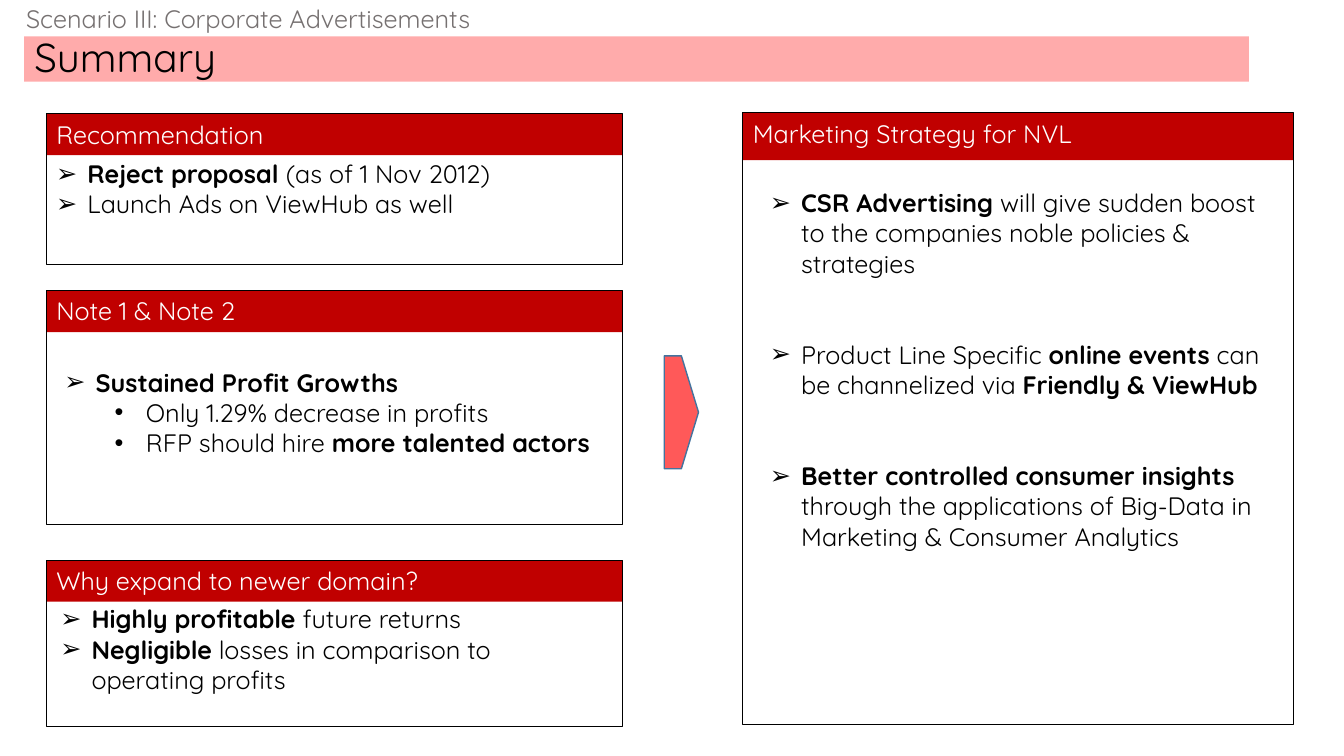
from lxml.etree import SubElement
from pptx import Presentation
from pptx.dml.color import RGBColor
from pptx.enum.shapes import MSO_SHAPE
from pptx.enum.text import MSO_ANCHOR, PP_ALIGN
from pptx.oxml.ns import qn
from pptx.util import Inches, Pt

COLORS = {
    "black": "000000",
    "white": "FFFFFF",
    "gray": "767171",
    "header": "C00000",
    "title": "FFABAB",
    "arrow": "FF0000",
    "arrow_line": "43739E",
}
FONT = "Quicksand"
WIDTH, HEIGHT = Inches(13.33), Inches(7.5)
COLUMN, ROW = WIDTH / 40, HEIGHT / 30
BULLETS = ("➢", "•")
LEFT_COLUMN, LEFT_SPAN = 1.38, 17.16

PANELS = [
    {
        "box": (LEFT_COLUMN, 4.52, LEFT_SPAN, 5.96),
        "heading": "Recommendation",
        "body": (0, 1.56, 15.42, 2.84),
        "items": [
            (0, [("Reject proposal ", True), ("(as of 1 Nov 2012)", False)]),
            (0, [("Launch Ads on ViewHub as well", False)]),
        ],
    },
    {
        "box": (LEFT_COLUMN, 11.54, LEFT_SPAN, 9.28),
        "heading": "Note 1 & Note 2",
        "body": (0.24, 2.82, 17.52, 4.04),
        "items": [
            (0, [("Sustained Profit Growths", True)]),
            (1, [("Only 1.29% decrease in profits", False)]),
            (1, [("RFP should hire ", False), ("more talented actors", True)]),
        ],
    },
    {
        "box": (LEFT_COLUMN, 22.24, LEFT_SPAN, 6.6),
        "heading": "Why expand to newer domain?",
        "body": (0.12, 1.52, 16.29, 4.04),
        "items": [
            (0, [("Highly profitable ", True), ("future returns", False)]),
            (0, [("Negligible", True),
                 (" losses in comparison to operating profits", False)]),
        ],
    },
    {
        "box": (22.11, 4.48, 16.38, 24.28),
        "heading": "Marketing Strategy for NVL",
        "heading_rows": 1.88,
        "body": (0.51, 2.76, 15.42, 16.16),
        "gap": 43.5,
        "items": [
            (0, [("CSR Advertising ", True),
                 ("will give sudden boost to the companies noble policies & strategies", False)]),
            (0, [("Product Line Specific ", False), ("online events", True),
                 (" can be channelized via ", False), ("Friendly & ViewHub", True)]),
            (0, [("Better controlled consumer insights ", True),
                 ("through the applications of Big-Data in Marketing & Consumer Analytics", False)]),
        ],
    },
]


def color(name):
    return RGBColor.from_string(COLORS[name])


def place(box):
    left, top, width, height = box
    return [round(length) for length in (left * COLUMN, top * ROW, width * COLUMN, height * ROW)]


def add_run(paragraph, text, color_name, size=18, bold=False):
    run = paragraph.add_run()
    run.text = text
    run.font.name = FONT
    run.font.size = Pt(size)
    run.font.bold = bold
    run.font.color.rgb = color(color_name)


def add_box(slide, box, fill=None, line=None, line_width=0.75, preset=MSO_SHAPE.RECTANGLE):
    shape = slide.shapes.add_shape(preset, *place(box))
    shape.shadow.inherit = False
    if fill:
        shape.fill.solid()
        shape.fill.fore_color.rgb = color(fill)
    else:
        shape.fill.background()
    if line:
        shape.line.color.rgb = color(line)
        shape.line.width = Pt(line_width)
    else:
        shape.line.fill.background()
    return shape


def set_bullet(paragraph, level):
    paragraph.level = level
    properties = paragraph._p.get_or_add_pPr()
    properties.set("marL", str(Inches(0.31 + 0.5 * level)))
    properties.set("indent", str(Inches(-0.31)))
    SubElement(properties, qn("a:buFont")).set("typeface", "Arial")
    SubElement(properties, qn("a:buChar")).set("char", BULLETS[level])


def add_title(slide, box):
    title = slide.shapes.title
    title.left, title.top, title.width, title.height = place(box)
    title.fill.solid()
    title.fill.fore_color.rgb = color("title")
    title.text_frame.vertical_anchor = MSO_ANCHOR.MIDDLE
    paragraph = title.text_frame.paragraphs[0]
    paragraph.alignment = PP_ALIGN.LEFT
    paragraph.line_spacing = 0.9
    add_run(paragraph, "Summary", "black", 28.8)


def add_scenario(slide, box):
    label = slide.shapes.add_textbox(*place(box))
    label.text_frame.word_wrap = False
    add_run(label.text_frame.paragraphs[0], "Scenario III: Corporate Advertisements", "gray")


def add_items(slide, box, items, gap):
    frame = slide.shapes.add_textbox(*place(box)).text_frame
    frame.word_wrap = True
    for index, (level, runs) in enumerate(items):
        paragraph = frame.add_paragraph() if index else frame.paragraphs[0]
        if index and gap:
            paragraph.space_before = Pt(gap)
        set_bullet(paragraph, level)
        for text, bold in runs:
            add_run(paragraph, text, "black", bold=bold)


def add_panel(slide, box, heading, body, items, heading_rows=1.64, gap=0):
    left, top, width, height = box
    header = add_box(slide, (left, top, width, heading_rows), fill="header")
    header.text_frame.vertical_anchor = MSO_ANCHOR.TOP
    paragraph = header.text_frame.paragraphs[0]
    paragraph.alignment = PP_ALIGN.LEFT
    add_run(paragraph, heading, "white")
    add_box(slide, box, line="black")
    offset_x, offset_y, body_width, body_height = body
    add_items(slide, (left + offset_x, top + offset_y, body_width, body_height), items, gap)


def add_arrow(slide, box):
    arrow = add_box(slide, box, "arrow", "arrow_line", 1, MSO_SHAPE.PENTAGON)
    fill_color = arrow.fill._xPr.find(qn("a:solidFill"))[0]
    SubElement(fill_color, qn("a:alpha")).set("val", "65000")


def main():
    presentation = Presentation()
    presentation.slide_width, presentation.slide_height = WIDTH, HEIGHT
    slide = presentation.slides.add_slide(presentation.slide_layouts[5])
    add_title(slide, (0.72, 1.44, 36.45, 1.8))
    add_scenario(slide, (0.48, -0.08, 14.67, 1.6))
    for panel in PANELS:
        add_panel(slide, **panel)
    add_arrow(slide, (19.77, 14.12, 1.02, 4.48))
    presentation.save("out.pptx")


if __name__ == "__main__":
    main()
